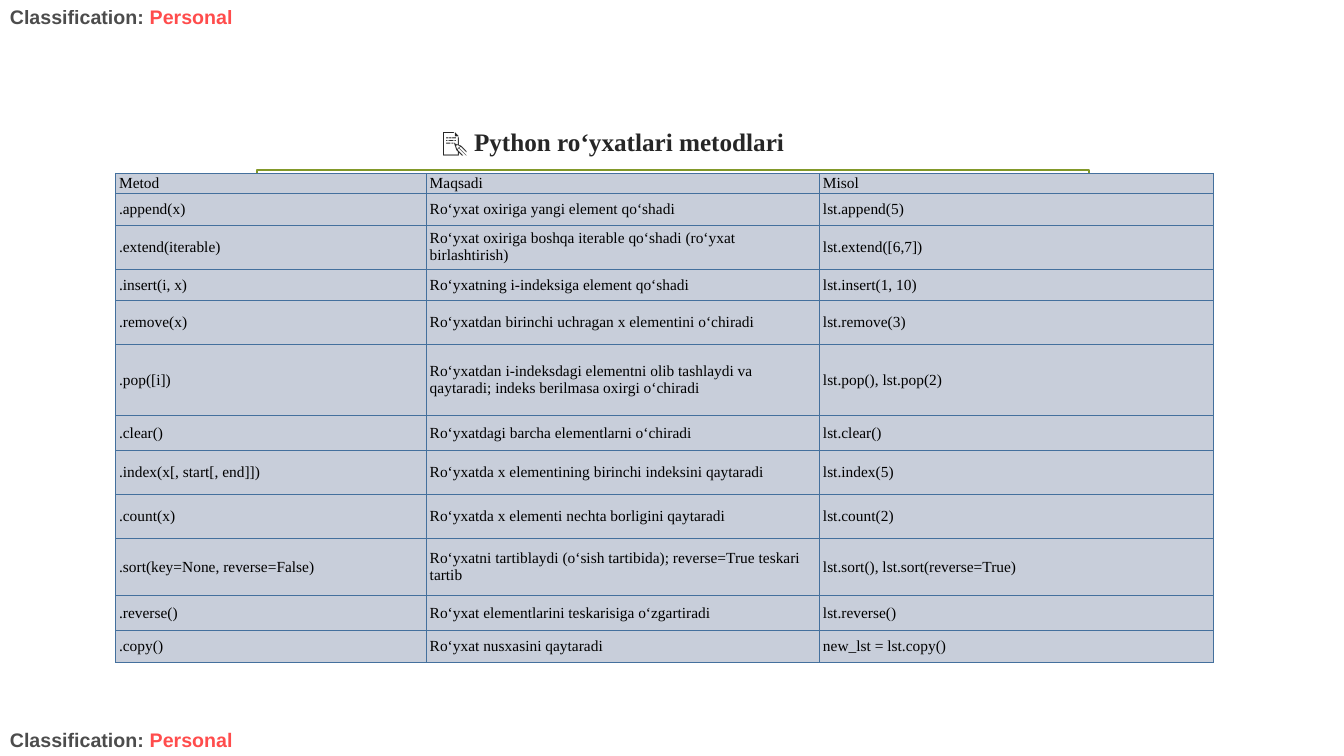
"""Build a one-slide reference table of Python list methods."""
from dataclasses import dataclass

from lxml import etree
from pptx import Presentation
from pptx.dml.color import RGBColor
from pptx.enum.shapes import MSO_SHAPE
from pptx.enum.text import MSO_ANCHOR, MSO_AUTO_SIZE, PP_ALIGN
from pptx.oxml.ns import qn
from pptx.util import Cm, Pt

RECTANGLE = MSO_SHAPE.RECTANGLE
TOP, MIDDLE, BOTTOM = MSO_ANCHOR.TOP, MSO_ANCHOR.MIDDLE, MSO_ANCHOR.BOTTOM
CENTER = PP_ALIGN.CENTER
NO_AUTOFIT = MSO_AUTO_SIZE.NONE
TITLE_ONLY = 5
SLIDE_WIDTH, SLIDE_HEIGHT = 33.87, 19.05
LABEL_HEIGHT = 1.14

COLUMN_WIDTHS = (7.83, 9.91, 9.91)
METHODS = (
    (0.5, "Metod", "Maqsadi", "Misol"),
    (0.79, ".append(x)", "Ro‘yxat oxiriga yangi element qo‘shadi", "lst.append(5)"),
    (1.11, ".extend(iterable)",
     "Ro‘yxat oxiriga boshqa iterable qo‘shadi (ro‘yxat birlashtirish)", "lst.extend([6,7])"),
    (0.79, ".insert(i, x)", "Ro‘yxatning i-indeksiga element qo‘shadi", "lst.insert(1, 10)"),
    (1.11, ".remove(x)", "Ro‘yxatdan birinchi uchragan x elementini o‘chiradi", "lst.remove(3)"),
    (1.79, ".pop([i])",
     "Ro‘yxatdan i-indeksdagi elementni olib tashlaydi va qaytaradi; "
     "indeks berilmasa oxirgi o‘chiradi", "lst.pop(), lst.pop(2)"),
    (0.88, ".clear()", "Ro‘yxatdagi barcha elementlarni o‘chiradi", "lst.clear()"),
    (1.11, ".index(x[, start[, end]])",
     "Ro‘yxatda x elementining birinchi indeksini qaytaradi", "lst.index(5)"),
    (1.11, ".count(x)", "Ro‘yxatda x elementi nechta borligini qaytaradi", "lst.count(2)"),
    (1.44, ".sort(key=None, reverse=False)",
     "Ro‘yxatni tartiblaydi (o‘sish tartibida); reverse=True teskari tartib",
     "lst.sort(), lst.sort(reverse=True)"),
    (0.88, ".reverse()", "Ro‘yxat elementlarini teskarisiga o‘zgartiradi", "lst.reverse()"),
    (0.79, ".copy()", "Ro‘yxat nusxasini qaytaradi", "new_lst = lst.copy()"),
)


@dataclass(frozen=True)
class Theme:
    """Fonts, colours and type sizes of the slide."""
    body_font: str = "Times New Roman"
    label_font: str = "Arial"
    title_color: str = "262626"
    text_color: str = "000000"
    alert_color: str = "FF0000"
    frame_color: str = "83992A"
    cell_color: str = "C8CEDA"
    border_color: str = "44709D"
    title_size: float = 18
    label_size: float = 14
    cell_size: float = 11
    frame_width: float = 1.25
    border_width: float = 0.75
    label_opacity: int = 70


class SlideBuilder:
    """Draw themed elements on the current slide."""

    def __init__(self, slide, theme):
        """Keep the slide and its theme."""
        self.slide = slide
        self.theme = theme

    def format_run(self, run, font, size, color, bold=False):
        """Set the typeface, size, colour and weight of a run."""
        run.font.name = font
        run.font.size = Pt(size)
        run.font.bold = bold
        run.font.color.rgb = RGBColor.from_string(color)

    def title(self, icon, text, left, top, width, height):
        """Place the title with a regular icon and bold wording."""
        shape = self.slide.shapes.title
        shape.left, shape.top, shape.width, shape.height = map(Cm, (left, top, width, height))
        text_frame = shape.text_frame
        text_frame.auto_size = NO_AUTOFIT
        text_frame.vertical_anchor = BOTTOM
        paragraph = text_frame.paragraphs[0]
        paragraph.alignment = CENTER
        for wording, bold in ((icon + " ", False), (text, True)):
            run = paragraph.add_run()
            run.text = wording
            self.format_run(run, self.theme.body_font, self.theme.title_size,
                            self.theme.title_color, bold)

    def frame(self, left, top, width, height):
        """Draw an unfilled rectangular outline."""
        shape = self.slide.shapes.add_shape(RECTANGLE, *map(Cm, (left, top, width, height)))
        shape.shadow.inherit = False
        shape.fill.background()
        shape.line.color.rgb = RGBColor.from_string(self.theme.frame_color)
        shape.line.width = Pt(self.theme.frame_width)

    def table(self, left, top, column_widths, rows):
        """Add a table from rows that each start with their height."""
        width, height = sum(column_widths), sum(row[0] for row in rows)
        table = self.slide.shapes.add_table(
            len(rows), len(column_widths), *map(Cm, (left, top, width, height))).table
        table.first_row = table.horz_banding = False
        for column, column_width in zip(table.columns, column_widths):
            column.width = Cm(column_width)
        for row, (row_height, *texts) in zip(table.rows, rows):
            row.height = Cm(row_height)
            for cell, text in zip(row.cells, texts):
                self.cell(cell, text)

    def cell(self, cell, text):
        """Fill and format one table cell."""
        cell.text_frame.text = text
        self.format_run(cell.text_frame.paragraphs[0].runs[0], self.theme.body_font,
                        self.theme.cell_size, self.theme.text_color)
        cell.vertical_anchor = MIDDLE
        cell.margin_left = cell.margin_right = Cm(0.08)
        cell.margin_top = cell.margin_bottom = Cm(0.04)
        properties = cell._tc.get_or_add_tcPr()
        for side in ("a:lnL", "a:lnR", "a:lnT", "a:lnB"):
            border = etree.SubElement(properties, qn(side), w=str(Pt(self.theme.border_width)))
            fill = etree.SubElement(border, qn("a:solidFill"))
            etree.SubElement(fill, qn("a:srgbClr"), val=self.theme.border_color)
        cell.fill.solid()
        cell.fill.fore_color.rgb = RGBColor.from_string(self.theme.cell_color)

    def classification(self, caption, level, top, anchor):
        """Add a translucent classification label across the slide."""
        text_frame = self.slide.shapes.add_textbox(
            Cm(0), Cm(top), Cm(SLIDE_WIDTH), Cm(LABEL_HEIGHT)).text_frame
        text_frame.word_wrap = True
        text_frame.vertical_anchor = anchor
        paragraph = text_frame.paragraphs[0]
        parts = ((caption + " ", self.theme.text_color), (level, self.theme.alert_color))
        for wording, color in parts:
            run = paragraph.add_run()
            run.text = wording
            self.format_run(run, self.theme.label_font, self.theme.label_size, color, True)
            color_element = run._r.rPr.find(".//" + qn("a:srgbClr"))
            etree.SubElement(color_element, qn("a:alpha"),
                             val=str(self.theme.label_opacity * 1000))


def main():
    """Build and save the presentation."""
    presentation = Presentation()
    presentation.slide_width = Cm(SLIDE_WIDTH)
    presentation.slide_height = Cm(SLIDE_HEIGHT)
    slide = presentation.slides.add_slide(presentation.slide_layouts[TITLE_ONLY])
    builder = SlideBuilder(slide, Theme())
    builder.frame(6.48, 4.29, 20.96, 10.64)
    builder.title("📝", "Python ro‘yxatlari metodlari", 3.2, 1.7, 24.51, 2.36)
    builder.table(2.92, 4.37, COLUMN_WIDTHS, METHODS)
    for top, anchor in ((0, TOP), (SLIDE_HEIGHT - LABEL_HEIGHT, BOTTOM)):
        builder.classification("Classification:", "Personal", top, anchor)
    presentation.save("out.pptx")


if __name__ == "__main__":
    main()
